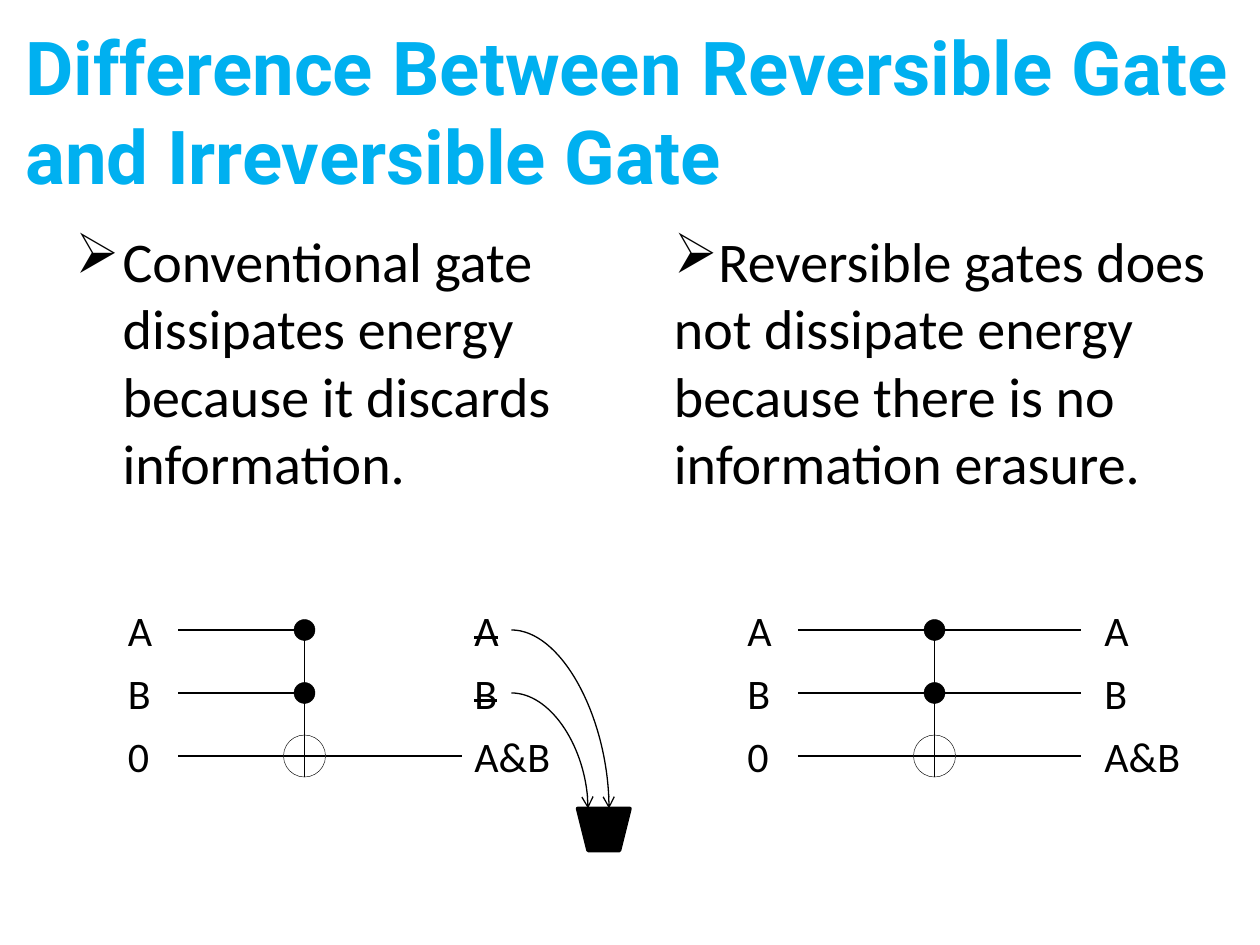
from lxml import etree
from pptx import Presentation
from pptx import util as u
from pptx.dml.color import RGBColor
from pptx.enum import shapes, text
from pptx.oxml.ns import qn

PX = 7620  # 120 px to the inch
BLACK, WHITE, BLUE = "000000", "FFFFFF", "00B0F0"
ROW_GAP = 60


def px(*lengths):
    return [u.Emu(length * PX) for length in lengths]


def color(value):
    return RGBColor.from_string(value)


def add_text(parent, box, content, size, font="Calibri", fill=BLACK, wrap=True):
    shape = parent.add_textbox(*px(*box))
    shape.text_frame.word_wrap = wrap
    paragraph = shape.text_frame.paragraphs[0]
    paragraph.text = content
    paragraph.font.size = u.Pt(size)
    paragraph.font.name = font
    paragraph.font.color.rgb = color(fill)
    return shape


def add_shape(parent, kind, box, fill, width):
    shape = parent.add_shape(kind, *px(*box))
    shape.shadow.inherit = False
    shape.fill.solid()
    shape.fill.fore_color.rgb = color(fill)
    shape.line.color.rgb = color(BLACK)
    shape.line.width = u.Pt(width)
    return shape


def add_circle(parent, x, y, radius, fill):
    box = (x - radius, y - radius, 2 * radius, 2 * radius)
    add_shape(parent, shapes.MSO_SHAPE.OVAL, box, fill, 0.25)


def add_line(parent, *ends, kind=shapes.MSO_CONNECTOR.STRAIGHT):
    line = parent.add_connector(kind, *px(*ends))
    line.line.color.rgb = color(BLACK)
    line.line.width = u.Pt(0.75)
    etree.SubElement(line._element.spPr, qn("a:effectLst"))
    return line


def add_curved_arrow(parent, *ends):
    line = add_line(parent, *ends, kind=shapes.MSO_CONNECTOR.CURVE)
    properties = line._element.spPr
    properties.find(qn("a:prstGeom")).set("prst", "curvedConnector2")
    etree.SubElement(properties.find(qn("a:ln")), qn("a:tailEnd"), type="arrow")


def add_title(slide, box):
    shape = add_text(slide.shapes, box, "Difference Between Reversible Gate and Irreversible Gate",
                     42.5, "Roboto", BLUE)
    frame = shape.text_frame
    frame.margin_left = frame.margin_right = frame.margin_bottom = 0
    frame.vertical_anchor = text.MSO_ANCHOR.BOTTOM
    frame.paragraphs[0].alignment = text.PP_ALIGN.JUSTIFY
    frame.paragraphs[0].font.bold = True


def add_statement(slide, box, content, hanging=0):
    shape = slide.shapes.add_textbox(*px(*box))
    shape.text_frame.word_wrap = True
    paragraph = shape.text_frame.paragraphs[0]
    paragraph.text = content
    properties = paragraph._p.get_or_add_pPr()
    properties.set("marL", str(hanging * PX))
    properties.set("indent", str(-hanging * PX))
    etree.SubElement(properties, qn("a:buChar"), char="➢")
    paragraph.font.size = u.Pt(32)
    paragraph.font.name = "Calibri"
    paragraph.font.color.rgb = color(BLACK)


def add_circuit(slide, left, top, gate, output, discards):
    """Draw a controlled gate; gate and output are offsets from left."""
    parts = slide.shapes.add_group_shape().shapes
    gate_x, output_x = left + gate, left + output
    rows = [top + ROW_GAP * i for i in range(3)]
    wire_start, wire_end = left + 60, left + 330

    # Wires; discarded signals stop at the gate
    for i, y in enumerate(rows):
        stops = discards and i < 2
        add_line(parts, wire_start, y, gate_x + 10 if stops else wire_end, y)
    add_line(parts, gate_x, rows[2], gate_x, rows[0])

    # Input and output labels
    for i, (y, source, result) in enumerate(zip(rows, "AB0", ("A", "B", "A&B"))):
        add_text(parts, (left, y - 30, 50, 60), source, 24, wrap=False)
        label = add_text(parts, (output_x, y - 30, 105 if i == 2 else 48, 60),
                         result, 24, wrap=False)
        if discards and i < 2:
            run = label.text_frame.paragraphs[0].runs[0]
            run._r.get_or_add_rPr().set("strike", "sngStrike")

    # Control dots and target
    for y in rows[:2]:
        add_circle(parts, gate_x, y, 10, BLACK)
    add_circle(parts, gate_x, rows[2], 20, WHITE)
    add_line(parts, gate_x - 20, rows[2], gate_x + 20, rows[2])
    add_line(parts, gate_x, rows[2] - 20, gate_x, rows[2] + 20)

    # Bin for the discarded signals
    if discards:
        bin_x, bin_y = left + 440, top + 170
        trash = add_shape(parts, shapes.MSO_SHAPE.TRAPEZOID, (bin_x, bin_y, 50, 40), BLACK, 2)
        trash.rotation = 180
        for y, end_x in zip(rows, (bin_x + 30, bin_x + 10)):
            add_curved_arrow(parts, output_x + 47, y, end_x, bin_y)


def main():
    presentation = Presentation()
    presentation.slide_width, presentation.slide_height = px(1200, 900)
    slide = presentation.slides.add_slide(presentation.slide_layouts[6])

    # Irreversible gate on the left
    add_statement(slide, (60, 210, 540, 320),
                  "Conventional gate dissipates energy because it discards information.", hanging=45)
    add_circuit(slide, 110, 600, gate=180, output=330, discards=True)

    # Reversible gate on the right
    add_statement(slide, (630, 210, 540, 320),
                  "Reversible gates does not dissipate energy because there is no information erasure.")
    add_circuit(slide, 700, 600, gate=190, output=340, discards=False)

    add_title(slide, (24, 40, 1146, 150))
    presentation.save("out.pptx")


if __name__ == "__main__":
    main()
